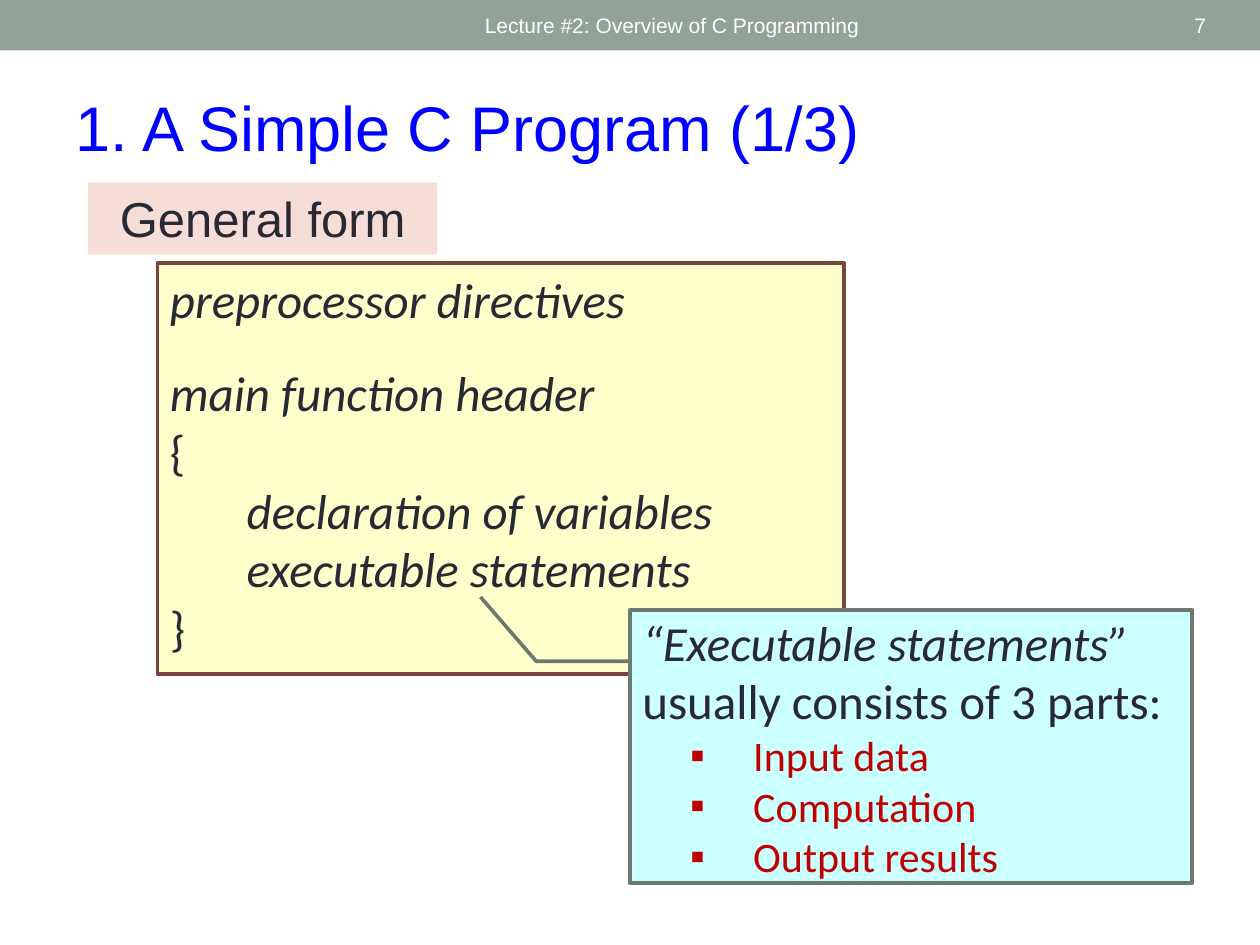
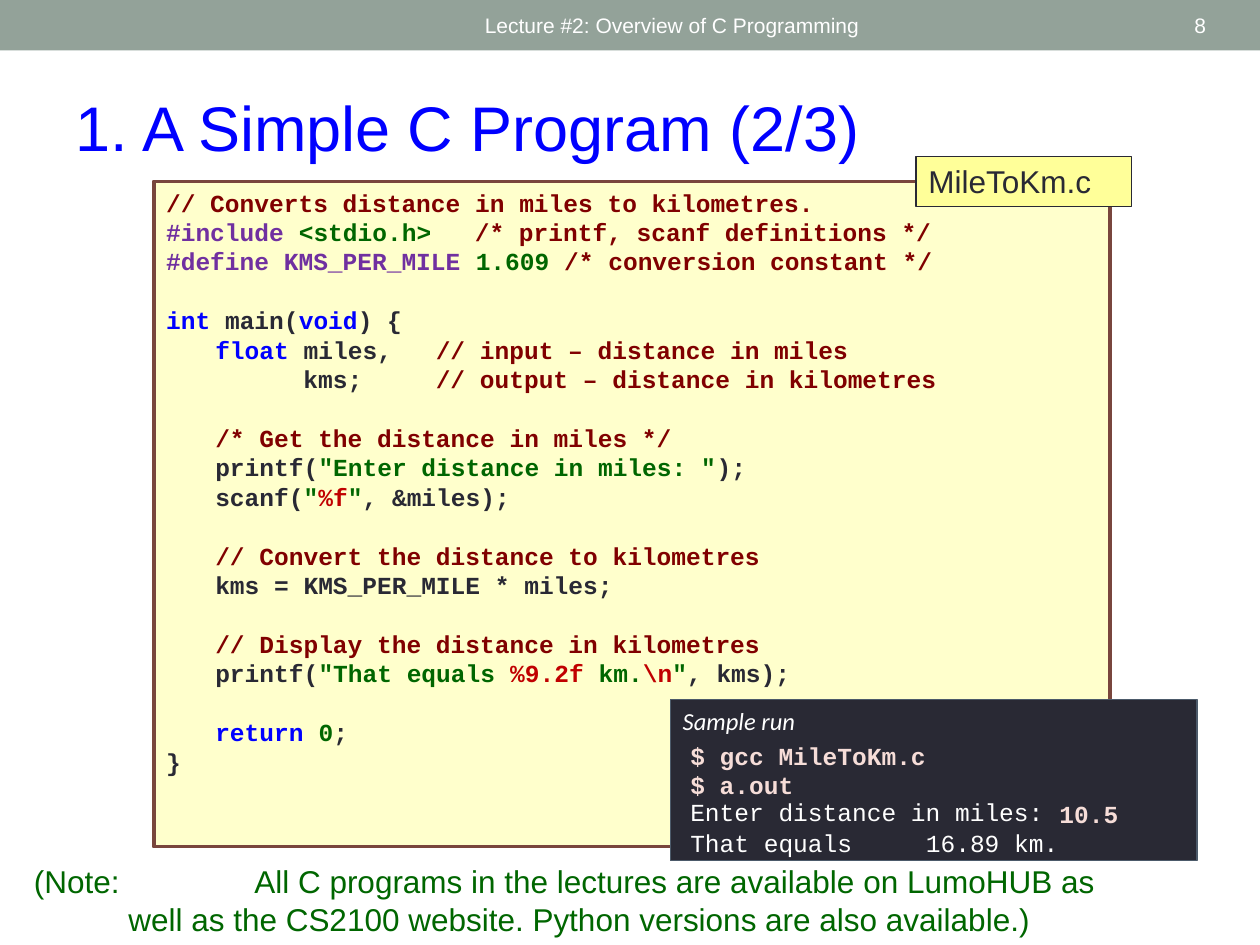
from lxml.etree import SubElement
from pptx import Presentation
from pptx.dml.color import RGBColor
from pptx.enum.shapes import MSO_SHAPE as Shape
from pptx.enum.text import MSO_ANCHOR as Anchor, MSO_AUTO_SIZE as AutoSize, PP_ALIGN as Align
from pptx.oxml.ns import qn
from pptx.util import Inches, Pt

WHITE = RGBColor(0xFF, 0xFF, 0xFF)
BAND = RGBColor(0x93, 0xA2, 0x99)
BLUE = RGBColor(0x00, 0x00, 0xFF)
INK = RGBColor(0x29, 0x29, 0x34)
BLUSH = RGBColor(0xF6, 0xDD, 0xD8)
CREAM = RGBColor(0xFF, 0xFF, 0xCC)
YELLOW = RGBColor(0xFF, 0xFF, 0x99)
CYAN = RGBColor(0xCC, 0xFF, 0xFF)
BROWN = RGBColor(0x79, 0x46, 0x3D)
GREY = RGBColor(0x6D, 0x78, 0x71)
SLATE = RGBColor(0x4C, 0x5A, 0x6A)
RED = RGBColor(0xC0, 0x00, 0x00)
MAROON = RGBColor(0x80, 0x00, 0x00)
PURPLE = RGBColor(0x70, 0x30, 0xA0)
GREEN = RGBColor(0x00, 0x66, 0x00)

SANS, HAND, MONO = "Arial", "Calibri", "Courier New"
CODE_LINE = 16.8

PROGRAM = [
    [("// Converts distance in miles to kilometres.", MAROON)],
    [("#include ", PURPLE), ("<stdio.h>", GREEN), ("\t\t/* printf, scanf definitions */", MAROON)],
    [("#define KMS_PER_MILE ", PURPLE), ("1.609 ", GREEN), ("/* conversion constant */", MAROON)],
    None,
    [("int", BLUE), (" main(", INK), ("void", BLUE), (") {", INK)],
    [("\tfloat", BLUE), (" miles,", INK), ("\t// input – distance in miles", MAROON)],
    [("\t\tkms;", INK), ("\t// output – distance in kilometres", MAROON)],
    None,
    [("\t/* Get the distance in miles */", MAROON)],
    [("\tprintf(", INK), ('"Enter distance in miles: "', GREEN), (");", INK)],
    [("\tscanf(", INK), ('"', GREEN), ("%f", RED), ('"', GREEN), (", &miles);", INK)],
    None,
    [("\t// Convert the distance to kilometres", MAROON)],
    [("\tkms = KMS_PER_MILE * miles;", INK)],
    None,
    [("\t// Display the distance in kilometres", MAROON)],
    [("\tprintf(", INK), ('"That equals ', GREEN), ("%9.2f ", RED), ("km.", GREEN),
     ("\\n", RED), ('"', GREEN), (", kms);", INK)],
    None,
    [("\treturn ", BLUE), ("0", GREEN), (";", INK)],
    [("}", INK)],
]


def write_text(frame, lines, *, font=SANS, size=18, color=INK, bold=False, italic=False,
               align=Align.LEFT, anchor=Anchor.TOP, tabs=(), margin=0, indent=0,
               bullet=None, gap=0, append=False):
    """Lines hold text or (text, color[, italic]) runs; None opens a gap."""
    frame.word_wrap = True
    frame.auto_size = AutoSize.NONE
    frame.vertical_anchor = anchor
    fresh, spacing = not append, 0
    for line in lines:
        if line is None:
            spacing = gap
            continue
        paragraph = frame.paragraphs[0] if fresh else frame.add_paragraph()
        fresh = False
        paragraph.alignment = align
        paragraph.space_before = Pt(spacing)
        spacing = 0
        properties = paragraph._p.get_or_add_pPr()
        properties.set("defTabSz", str(Inches(1)))
        if margin:
            properties.set("marL", str(Inches(margin)))
            properties.set("indent", str(Inches(indent)))
        if bullet:
            SubElement(properties, qn("a:buFont"), typeface=SANS)
            SubElement(properties, qn("a:buChar"), char=bullet)
        if tabs:
            stops = SubElement(properties, qn("a:tabLst"))
            for stop in tabs:
                SubElement(stops, qn("a:tab"), pos=str(Inches(stop)), algn="l")
        for part in [(line, color)] if isinstance(line, str) else line:
            run = paragraph.add_run()
            run.text = part[0]
            run.font.name = font
            run.font.size = Pt(size)
            run.font.bold = bold
            run.font.italic = part[2] if len(part) > 2 else italic
            run.font.color.rgb = part[1]


def add_box(slide, box, fill, line=None, width=0.75, kind=Shape.RECTANGLE):
    shape = slide.shapes.add_shape(kind, *map(Inches, box))
    shape.shadow.inherit = False
    shape.fill.solid()
    shape.fill.fore_color.rgb = fill
    if line is None:
        shape.line.fill.background()
    else:
        shape.line.color.rgb = line
        shape.line.width = Pt(width)
    return shape


def add_label(slide, box, lines, **style):
    label = slide.shapes.add_textbox(*map(Inches, box))
    write_text(label.text_frame, lines, **style)


def add_lecture_slide(presentation, title, number):
    slide = presentation.slides.add_slide(presentation.slide_layouts[5])
    heading = slide.shapes.title
    heading.left, heading.top, heading.width, heading.height = map(Inches, (0.5, 0.65, 9, 0.71))
    write_text(heading.text_frame, [title], size=36, color=BLUE)
    add_box(slide, (0, 0, 10, 0.4), BAND)
    band_text = dict(size=12, color=WHITE, anchor=Anchor.MIDDLE)
    add_label(slide, (3.75, 0.02, 4.5, 0.36), ["Lecture #2: Overview of C Programming"], **band_text)
    add_label(slide, (8.72, 0.02, 0.95, 0.36), [str(number)], align=Align.RIGHT, **band_text)
    return slide


def add_general_form(slide, box):
    left, top, width, height = box
    caption = add_box(slide, (left - 0.55, top - 0.64, 2.77, 0.57), BLUSH)
    write_text(caption.text_frame, ["General form"], size=28, align=Align.CENTER)
    form = add_box(slide, box, CREAM, BROWN, 2.08)
    write_text(form.text_frame, [
        "preprocessor directives",
        None,
        "main function header",
        [("{", INK, False)],
        "\tdeclaration of variables",
        "\texecutable statements",
        [("}", INK, False)],
    ], font=HAND, size=28, italic=True, tabs=[0.61], gap=19.5)


def add_statements_callout(slide, box):
    callout = add_box(slide, box, CYAN, GREY, 2.08, Shape.LINE_CALLOUT_2)
    for index, value in enumerate((0.188, 0, 0.188, -0.167, -0.047, -0.266)):
        callout.adjustments[index] = value
    frame = callout.text_frame
    write_text(frame, [[("“Executable statements” ", INK, True), ("usually consists of 3 parts:", INK)]],
               font=HAND, size=28, anchor=Anchor.MIDDLE)
    write_text(frame, ["Input data", "Computation", "Output results"], font=HAND, size=24,
               color=RED, anchor=Anchor.MIDDLE, margin=0.88, indent=-0.5, bullet="▪",
               tabs=[0.88], append=True)


def add_program(slide, box):
    left, top, width, height = box
    listing = add_box(slide, box, CREAM, BROWN, 2.08)
    write_text(listing.text_frame, PROGRAM, font=MONO, size=14, bold=True,
               tabs=[0.39, 1.09, 2.14, 2.45], gap=CODE_LINE)
    file_name = add_box(slide, (left + width - 1.54, top - 0.2, 1.71, 0.4), YELLOW, INK)
    write_text(file_name.text_frame, ["MileToKm.c"])


def add_sample_run(slide, box):
    left, top, width, height = box
    screen = add_box(slide, box, INK, SLATE)
    write_text(screen.text_frame, ["Sample run"], font=HAND, size=14, color=WHITE, italic=True)
    typed = dict(font=MONO, size=14, color=BLUSH, bold=True)
    printed = dict(font=MONO, size=14, color=WHITE)
    for x, y, wide, high, lines, style in (
        (0.06, 0.28, 3.78, 0.57, ["$ gcc MileToKm.c", "$ a.out"], typed),
        (0.06, 0.73, 3.09, 0.34, ["Enter distance in miles:"], printed),
        (0.06, 0.97, 3.79, 0.34, ["That equals\t16.89 km."], dict(printed, tabs=[1.87])),
        (2.99, 0.74, 0.79, 0.34, ["10.5"], typed),
    ):
        add_label(slide, (left + x, top + y, wide, high), lines, **style)


def main():
    presentation = Presentation()
    presentation.slide_width, presentation.slide_height = Inches(10), Inches(7.5)

    slide = add_lecture_slide(presentation, "1. A Simple C Program (1/3)", 7)
    add_general_form(slide, (1.25, 2.09, 5.45, 3.26))
    add_statements_callout(slide, (5, 4.84, 4.46, 2.17))

    slide = add_lecture_slide(presentation, "1. A Simple C Program (2/3)", 8)
    add_program(slide, (1.22, 1.44, 7.59, 5.28))
    add_sample_run(slide, (5.32, 5.55, 4.18, 1.28))
    add_label(slide, (0.17, 6.79, 9.02, 0.71), [
        "(Note:\t\tAll C programs in the lectures are available on LumoHUB as well as "
        "the CS2100 website. Python versions are also available.)",
    ], color=GREEN, margin=0.75, indent=-0.75, tabs=[0.69])

    presentation.save("out.pptx")


if __name__ == "__main__":
    main()
